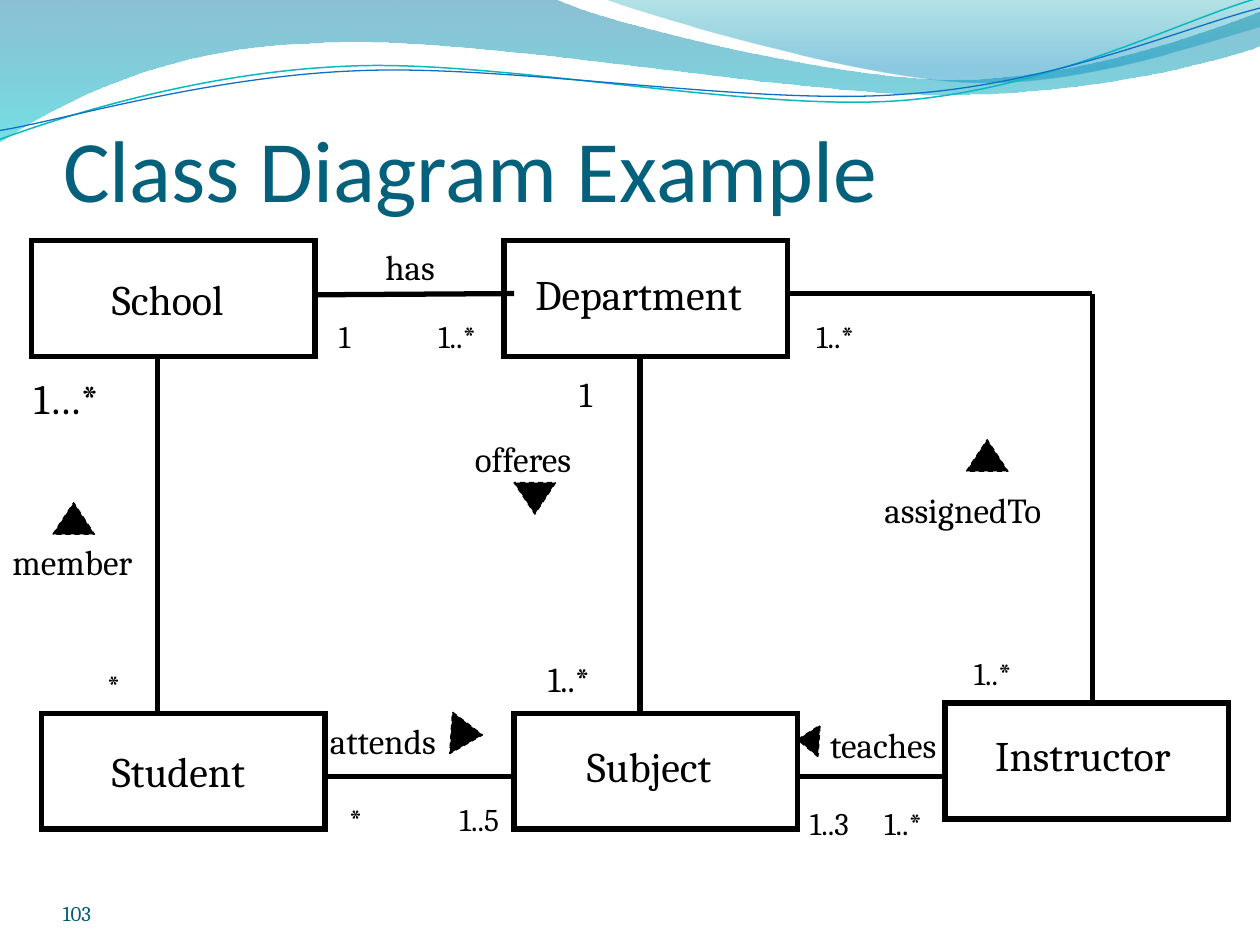
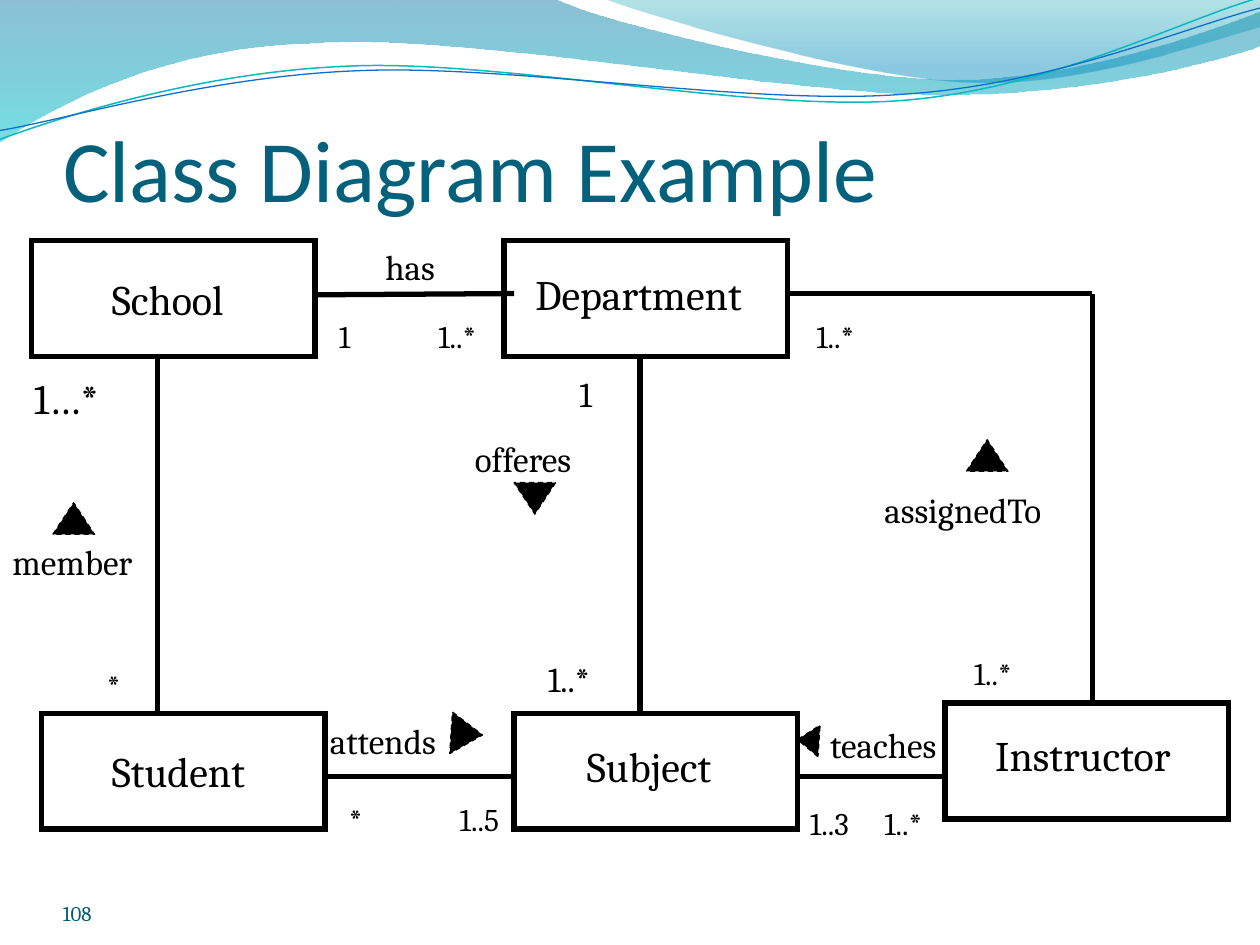
from lxml.etree import SubElement
from pptx import Presentation
from pptx.dml.color import RGBColor
from pptx.enum.dml import MSO_LINE
from pptx.enum.shapes import MSO_CONNECTOR, MSO_SHAPE
from pptx.enum.text import MSO_ANCHOR, MSO_AUTO_SIZE
from pptx.oxml.ns import qn
from pptx.util import Inches, Pt

# Content
TITLE = "Class Diagram Example"
PAGE_NUMBERS = ["103", "108"]

BLACK, WHITE = "000000", "FFFFFF"
TITLE_COLOR, NUMBER_COLOR = "04617B", "045D75"
HEADING_FONT, BODY_FONT = "Calibri", "Cambria"

CLASS_SIZE = (2.25, 0.92)
# name, box left, box top, label left, label top, label width
CLASSES = [
    ("School", 0.25, 1.91, 0.79, 2.12, 1.16),
    ("Department", 4, 1.91, 4.15, 2.08, 1.94),
    ("Student", 0.33, 5.66, 0.79, 5.87, 1.34),
    ("Subject", 4.08, 5.66, 4.56, 5.83, 1.29),
    ("Instructor", 7.5, 5.58, 7.8, 5.74, 1.64),
]

# from x, from y, to x, to y
ASSOCIATIONS = [
    (1.25, 2.83, 1.25, 5.66),  # School to Student
    (2.58, 6.16, 4.08, 6.16),  # Student to Subject
    (7.5, 6.16, 6.33, 6.16),   # Instructor to Subject
    (5.08, 5.66, 5.08, 2.83),  # Subject to Department
    (2.5, 2.34, 4.08, 2.33),   # School to Department
    (8.67, 5.58, 8.67, 2.33),  # Instructor up to the corner
    (8.67, 2.33, 6.25, 2.33),  # corner to Department
]

# text, left, top, width, by type size
LABELS = {
    24: [("1…*", 0.17, 2.91, 0.84)],
    20: [
        ("member", 0, 4.24, 1.21),
        ("attends", 2.52, 5.66, 1.14),
        ("teaches", 6.49, 5.69, 1.14),
        ("1..*", 4.25, 5.17, 0.67),
        ("1", 4.5, 2.91, 0.35),
        ("has", 2.96, 1.9, 0.62),
        ("assignedTo", 6.92, 3.83, 1.58),
        ("offeres", 3.67, 3.42, 1.05),
    ],
    18: [
        ("*", 0.75, 5.24, 0.32),
        ("*", 2.67, 6.3, 0.32),
        ("1..5", 3.55, 6.3, 0.58),
        ("1..3", 6.33, 6.33, 0.58),
        ("1..*", 6.92, 6.33, 0.58),
        ("1", 2.59, 2.47, 0.32),
        ("1..*", 3.38, 2.47, 0.58),
        ("1..*", 6.38, 2.47, 0.58),
        ("1..*", 7.63, 5.14, 0.58),
    ],
}
LABEL_HEIGHTS = {24: 0.5, 20: 0.43, 18: 0.37}

# left, top, width, height, rotation
READING_ARROWS = [
    (0.42, 3.99, 0.33, 0.25, 0),
    (3.54, 5.7, 0.33, 0.25, 93.8),
    (6.29, 5.79, 0.25, 0.17, 273.8),
    (7.67, 3.49, 0.33, 0.25, 0),
    (4.08, 3.83, 0.33, 0.25, 180),
]

# Each outline is a list of steps: two numbers draw a line, six a curve.
# Gradient stops: position, colour, opacity in percent
WAVE_BANDS = [
    ([(0, 0), (4.4, -0.01), (4.76, 0.17, 6.64, 0.63, 7.58, 0.63),
      (8.53, 0.63, 9.58, 0.26, 10, 0.09), (10.01, 0.36),
      (9.83, 0.44, 8.7, 0.76, 7.46, 0.75),
      (6.22, 0.75, 3.82, 0.28, 2.57, 0.34),
      (1.29, 0.36, 0.46, 0.83, -0.01, 1.13), (0, 0)],
     [(0, "0074A1", 45), (1, "00C6CF", 55)]),
    ([(4.79, -0.01), (5.09, 0.11, 6.82, 0.62, 7.69, 0.65),
      (8.56, 0.69, 9.61, 0.32, 10, 0.21), (10, 0), (4.79, -0.01)],
     [(0, "00A1A9", 30), (0.8, "008BBF", 45)]),
]
# Outlines before the shared tilt, colour, width
WAVE_TILT = 357.3
WAVE_LINES = [
    ([(-0.02, 0.87), (0.46, 0.72, 1.58, 0.41, 2.77, 0.42),
      (3.95, 0.42, 5.92, 0.93, 7.12, 0.9),
      (8.32, 0.87, 9.4, 0.36, 10.01, 0.22)], "0AB8BF", 0.85),
    ([(-0.02, 0.8), (0.45, 0.75, 1.64, 0.45, 2.83, 0.46),
      (4.03, 0.46, 5.96, 0.89, 7.16, 0.85),
      (8.36, 0.83, 9.43, 0.42, 10.02, 0.3)], "0F6FC6", 0.75),
]


def color(hex_string):
    return RGBColor.from_string(hex_string)


def inches(*lengths):
    return [Inches(length) for length in lengths]


def style_line(line, hex_string, width):
    line.color.rgb = color(hex_string)
    line.width = Pt(width)


def add_outline(page, outline, close):
    """Join the end points, then bend the curved steps into cubic curves."""
    ends = [inches(*step[-2:]) for step in outline]
    builder = page.shapes.build_freeform(*ends[0])
    builder.add_line_segments(ends[1:], close=close)
    shape = builder.convert_to_shape()
    shape.shadow.inherit = False
    segments = list(shape._element.spPr.iter(qn("a:lnTo")))
    for segment, step in zip(segments, outline[1:]):
        if len(step) == 6:
            segment.tag = qn("a:cubicBezTo")
            end = segment[0]
            for x, y in (step[:2], step[2:4]):
                control = SubElement(segment, qn("a:pt"))
                control.set("x", str(Inches(x) - shape.left))
                control.set("y", str(Inches(y) - shape.top))
            segment.append(end)
    return shape


def add_waves(page):
    for outline, stops in WAVE_BANDS:
        band = add_outline(page, outline, True)
        band.line.fill.background()
        band.fill.gradient()
        band.fill.gradient_angle = 270
        for stop, (position, hex_string, opacity) in zip(band.fill.gradient_stops, stops):
            stop.position = position
            stop.color.rgb = color(hex_string)
        for element, stop in zip(band._element.spPr.iter(qn("a:srgbClr")), stops):
            SubElement(element, qn("a:alpha")).set("val", str(stop[2] * 1000))
    for outline, hex_string, width in WAVE_LINES:
        wave = add_outline(page, outline, False)
        wave.rotation = WAVE_TILT
        wave.fill.background()
        style_line(wave.line, hex_string, width)


def add_text(page, text, place, size, font=BODY_FONT, hex_string=BLACK):
    box = page.shapes.add_textbox(*inches(*place))
    span = box.text_frame.paragraphs[0].add_run()
    span.text = text
    span.font.name = font
    span.font.size = Pt(size)
    span.font.color.rgb = color(hex_string)
    return box.text_frame


def add_frame_text(page, text, place, size, font, hex_string, margin_top=0):
    frame = add_text(page, text, place, size, font, hex_string)
    frame.word_wrap = True
    frame.vertical_anchor = MSO_ANCHOR.BOTTOM
    frame.margin_left = frame.margin_right = frame.margin_bottom = 0
    frame.margin_top = Inches(margin_top)


def add_label(page, text, left, top, width, size):
    frame = add_text(page, text, (left, top, width, LABEL_HEIGHTS[size]), size)
    frame.word_wrap = False
    frame.auto_size = MSO_AUTO_SIZE.SHAPE_TO_FIT_TEXT


def add_solid(page, kind, place, fill, line_width):
    shape = page.shapes.add_shape(kind, *inches(*place))
    shape.shadow.inherit = False
    shape.fill.solid()
    shape.fill.fore_color.rgb = color(fill)
    style_line(shape.line, BLACK, line_width)
    return shape


def add_diagram(page):
    # Classes with square corners
    for name, left, top, label_left, label_top, label_width in CLASSES:
        box = add_solid(page, MSO_SHAPE.RECTANGLE, (left, top, *CLASS_SIZE), WHITE, 3)
        outline = box._element.spPr.find(qn("a:ln"))
        SubElement(outline, qn("a:miter")).set("lim", "800000")
        add_label(page, name, label_left, label_top, label_width, 24)
    # Associations
    for ends in ASSOCIATIONS:
        link = page.shapes.add_connector(MSO_CONNECTOR.STRAIGHT, *inches(*ends))
        style_line(link.line, BLACK, 3)
        SubElement(link._element.spPr, qn("a:effectLst"))
    # Names and multiplicities
    for size, labels in LABELS.items():
        for label in labels:
            add_label(page, *label, size)
    # Reading directions
    for *place, rotation in READING_ARROWS:
        arrow = add_solid(page, MSO_SHAPE.ISOSCELES_TRIANGLE, place, BLACK, 0.75)
        arrow.line.dash_style = MSO_LINE.DASH
        arrow.rotation = rotation


def main():
    deck = Presentation()
    deck.slide_width, deck.slide_height = inches(10, 7.5)
    for number in PAGE_NUMBERS:
        page = deck.slides.add_slide(deck.slide_layouts[6])
        add_waves(page)
        add_frame_text(page, number, (0.5, 6.95, 2.33, 0.4), 12, BODY_FONT, NUMBER_COLOR)
        add_frame_text(page, TITLE, (0.5, 0.77, 9.08, 0.98), 50,
                       HEADING_FONT, TITLE_COLOR, 0.05)
        add_diagram(page)
    deck.save("out.pptx")


if __name__ == "__main__":
    main()
